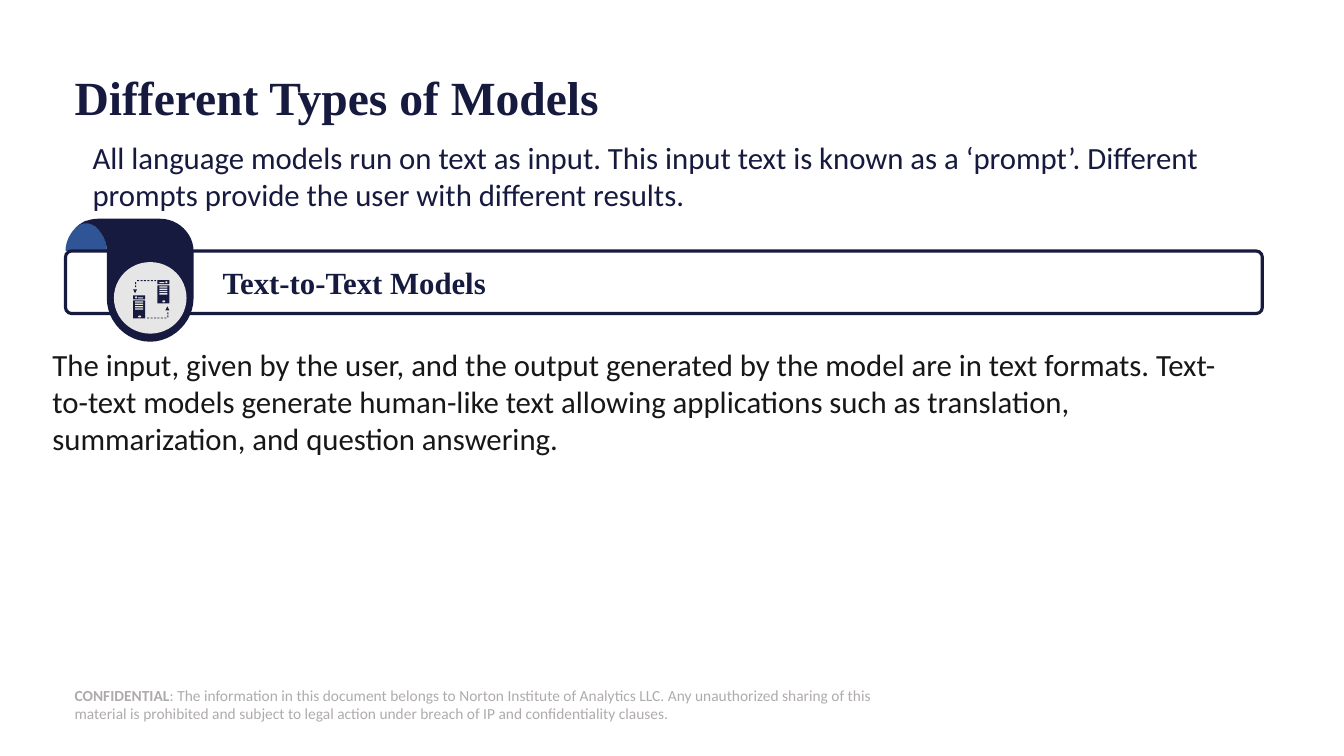
from pptx import Presentation
from pptx.dml.color import RGBColor
from pptx.enum.shapes import MSO_SHAPE
from pptx.enum.text import MSO_ANCHOR, MSO_AUTO_SIZE, PP_ALIGN
from pptx.util import Inches, Pt

NAVY = RGBColor(0x16, 0x1A, 0x3E)
BLUE = RGBColor(0x2F, 0x55, 0x97)
WHITE = RGBColor(0xFF, 0xFF, 0xFF)
PALE = RGBColor(0xE7, 0xE6, 0xE6)
GREY = RGBColor(0xAF, 0xAB, 0xAB)
BLACK = RGBColor(0x18, 0x17, 0x17)

SERIF, SANS = "Times New Roman", "Calibri"
TOP, MIDDLE = MSO_ANCHOR.TOP, MSO_ANCHOR.MIDDLE
LEFT, NO_AUTOFIT = PP_ALIGN.LEFT, MSO_AUTO_SIZE.NONE
RECT, ROUNDED, OVAL = MSO_SHAPE.RECTANGLE, MSO_SHAPE.ROUNDED_RECTANGLE, MSO_SHAPE.OVAL
ARROW_UP, ARROW_DOWN = MSO_SHAPE.ISOSCELES_TRIANGLE, MSO_SHAPE.FLOWCHART_MERGE

DASH_STEP = 0.034
CURVE_STEPS = 12

# A path step is either one point (straight) or two controls and an end (curve).
FOLD = [(0.85, 2.19),
        ((0.74, 2.24), (0.65, 2.36), (0.65, 2.49)),
        (1.06, 2.49),
        ((1.06, 2.36), (0.98, 2.24), (0.85, 2.19))]
RIBBON = [(1.59, 2.17),
          (0.98, 2.17),
          ((0.93, 2.17), (0.89, 2.18), (0.86, 2.19)),
          ((0.82, 2.21), (0.78, 2.23), (0.75, 2.26)),
          ((0.81, 2.2), (0.9, 2.2), (0.96, 2.26)),
          ((1.02, 2.32), (1.06, 2.4), (1.06, 2.49)),
          (1.06, 2.96),
          ((1.06, 3.19), (1.25, 3.39), (1.49, 3.39)),
          ((1.72, 3.39), (1.92, 3.19), (1.92, 2.96)),
          (1.92, 2.49),
          ((1.92, 2.32), (1.77, 2.17), (1.59, 2.17))]


def paint(shape, fill, line=None):
    shape.shadow.inherit = False
    shape.fill.solid()
    shape.fill.fore_color.rgb = fill
    if line is None:
        shape.line.fill.background()
    else:
        shape.line.color.rgb = line
        shape.line.width = Pt(2.25)


def add_block(slide, kind, left, top, width, height, fill, line=None):
    block = slide.shapes.add_shape(
        kind, Inches(left), Inches(top), Inches(width), Inches(height))
    paint(block, fill, line)
    return block


def curve_points(start, first, second, end):
    """Points along a cubic Bezier curve, without its start."""
    for step in range(1, CURVE_STEPS + 1):
        t = step / CURVE_STEPS
        u = 1 - t
        yield tuple(u ** 3 * a + 3 * u * u * t * b + 3 * u * t * t * c + t ** 3 * d
                    for a, b, c, d in zip(start, first, second, end))


def add_outline(slide, path_steps, fill):
    points = [path_steps[0]]
    for step in path_steps[1:]:
        if len(step) == 3:
            points.extend(curve_points(points[-1], *step))
        else:
            points.append(step)
    corners = [(Inches(x), Inches(y)) for x, y in points]
    builder = slide.shapes.build_freeform(*corners[0])
    builder.add_line_segments(corners[1:], close=True)
    paint(builder.convert_to_shape(), fill)


def write_text(shape, text, *, size, color, font=SANS, bold=False, bold_lead="",
               anchor=TOP, margins=(0, 0, 0, 0), line_spacing=None, gap=0):
    frame = shape.text_frame
    frame.word_wrap = True
    frame.auto_size = NO_AUTOFIT
    frame.vertical_anchor = anchor
    (frame.margin_left, frame.margin_top,
     frame.margin_right, frame.margin_bottom) = map(Inches, margins)
    para = frame.paragraphs[0]
    para.alignment = LEFT
    para.line_spacing = line_spacing
    para.space_before = para.space_after = Pt(gap)
    for words, heavy in ((bold_lead, True), (text, bold)):
        if words:
            span = para.add_run()
            span.text = words
            span.font.name = font
            span.font.size = Pt(size)
            span.font.bold = heavy
            span.font.color.rgb = color


def add_text(slide, left, top, width, height, text, **style):
    box = slide.shapes.add_textbox(
        Inches(left), Inches(top), Inches(width), Inches(height))
    write_text(box, text, **style)


def add_title(slide, text):
    title = slide.shapes.title
    title.left, title.top = Inches(0.74), Inches(0.66)
    title.width, title.height = Inches(11.85), Inches(0.67)
    write_text(title, text, size=34, color=NAVY, font=SERIF, bold=True,
               anchor=MIDDLE, line_spacing=0.9)


def add_computer(slide, left, top, light_x, slot_x):
    add_block(slide, RECT, left, top, 0.12, 0.04, NAVY)
    add_block(slide, OVAL, left + light_x, top + 0.01, 0.02, 0.02, PALE)
    add_block(slide, RECT, left + slot_x, top + 0.02, 0.05, 0.01, PALE)
    add_block(slide, RECT, left, top + 0.05, 0.12, 0.18, NAVY)
    for row in range(4):
        add_block(slide, RECT, left + 0.02, top + 0.06 + 0.023 * row, 0.08, 0.013, PALE)
    add_block(slide, OVAL, left + 0.05, top + 0.2, 0.03, 0.02, PALE)


def add_exchange_icon(slide):
    """Two computers joined by dotted arrows."""
    add_computer(slide, 1.32, 2.93, light_x=0.02, slot_x=0.05)
    add_computer(slide, 1.56, 2.78, light_x=0.08, slot_x=0.02)
    for first_left, top in ((1.36, 2.78), (1.46, 3.15)):
        for dash in range(6):
            add_block(slide, RECT, first_left + DASH_STEP * dash, top, 0.02, 0.01, NAVY)
    for left, top in ((1.34, 2.8), (1.34, 2.83), (1.66, 3.1), (1.66, 3.13)):
        add_block(slide, RECT, left, top, 0.01, 0.02, NAVY)
    add_block(slide, ARROW_DOWN, 1.32, 2.87, 0.04, 0.04, NAVY)
    add_block(slide, ARROW_UP, 1.64, 3.04, 0.04, 0.04, NAVY)


def add_banner(slide, heading):
    add_outline(slide, FOLD, BLUE)
    bar = add_block(slide, ROUNDED, 0.65, 2.49, 11.87, 0.62, WHITE, line=NAVY)
    bar.adjustments[0] = 0.097
    write_text(bar, heading, size=22, color=NAVY, font=SERIF, bold=True,
               anchor=MIDDLE, margins=(1.54, 0.05, 0.1, 0.05))
    add_outline(slide, RIBBON, NAVY)
    add_block(slide, OVAL, 1.13, 2.6, 0.72, 0.71, PALE)
    add_exchange_icon(slide)


def main():
    deck = Presentation()
    deck.slide_width, deck.slide_height = Inches(13.33), Inches(7.5)
    slide = deck.slides.add_slide(deck.slide_layouts.get_by_name("Title Only"))

    notice = add_block(slide, RECT, 0.74, 6.79, 8.17, 0.4, WHITE)
    write_text(notice,
               ": The information in this document belongs to Norton Institute of "
               "Analytics LLC. Any unauthorized sharing of this material is prohibited "
               "and subject to legal action under breach of IP and confidentiality "
               "clauses.",
               size=11, color=GREY, bold_lead="CONFIDENTIAL", anchor=MIDDLE)
    add_title(slide, "Different Types of Models")
    add_text(slide, 0.82, 1.33, 11.43, 0.84,
             "All language models run on text as input. This input text is known as a "
             "‘prompt’. Different prompts provide the user with different results.",
             size=22, color=NAVY, margins=(0.1, 0.05, 0.1, 0.05))
    add_banner(slide, "Text-to-Text Models")
    add_text(slide, 0.52, 3.43, 11.85, 0.96,
             "The input, given by the user, and the output generated by the model are in "
             "text formats. Text-to-text models generate human-like text allowing "
             "applications such as translation, summarization, and question answering.",
             size=22, color=BLACK, gap=4)
    deck.save("out.pptx")


if __name__ == "__main__":
    main()
